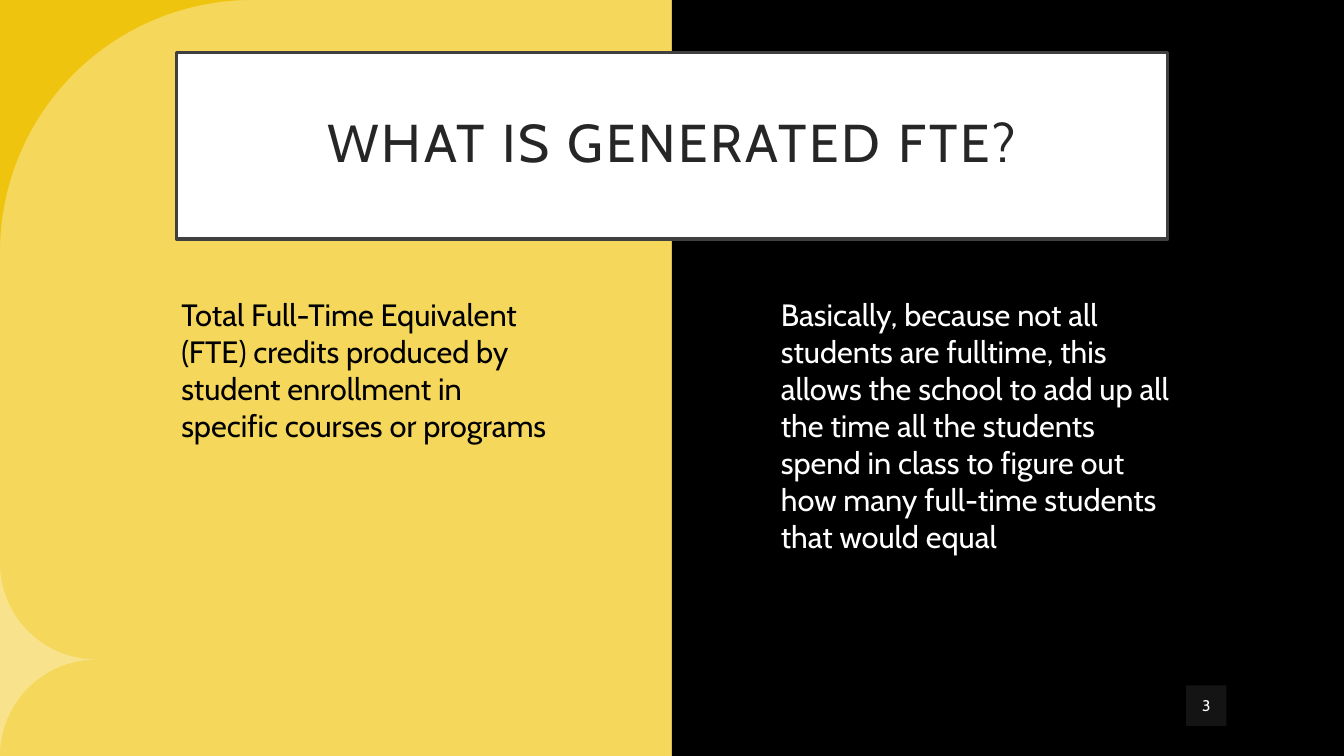
import math
from lxml import etree
from pptx import Presentation
from pptx.dml.color import RGBColor
from pptx.enum import shapes, text
from pptx.oxml import ns
from pptx.util import Cm, Pt

FONT = "Cabin"
WIDTH, HEIGHT = 33.87, 19.05


def paint(fmt, colour, alpha=None):
    """Give a fill a solid colour and, if asked, an opacity in percent."""
    fmt.solid()
    fmt.fore_color.rgb = RGBColor.from_string(colour)
    if alpha is not None:
        tint = fmt._xPr.find(ns.qn("a:solidFill"))[0]
        etree.SubElement(tint, ns.qn("a:alpha")).set("val", str(alpha * 1000))


def place(item, left, top, width, height):
    item.left, item.top = Cm(left), Cm(top)
    item.width, item.height = Cm(width), Cm(height)


def write(frame, words, size, colour, align=None, insets=(0.25, 0.13)):
    """Set one paragraph of text and return its run."""
    frame.word_wrap = True
    frame.margin_left = frame.margin_right = Cm(insets[0])
    frame.margin_top = frame.margin_bottom = Cm(insets[1])
    para = frame.paragraphs[0]
    para.alignment = align
    run = para.add_run()
    run.text = words
    run.font.name, run.font.size = FONT, Pt(size)
    paint(run.font.fill, colour)
    return run


def add_block(slide, box, colour, alpha=None):
    block = slide.shapes.add_shape(
        shapes.MSO_SHAPE.RECTANGLE, *(Cm(v) for v in box))
    block.shadow.inherit = False
    block.line.fill.background()
    paint(block.fill, colour, alpha)
    return block


def arc(cx, cy, radius, start, end, steps=40):
    """Points on a circle, with angles in degrees clockwise from the right."""
    angles = [math.radians(start + (end - start) * i / steps)
              for i in range(steps + 1)]
    return [(cx + radius * math.cos(a), cy + radius * math.sin(a)) for a in angles]


def add_outline(slide, points, colour, alpha=None):
    points = [(Cm(x), Cm(y)) for x, y in points]
    builder = slide.shapes.build_freeform(*points[0])
    builder.add_line_segments(points[1:], close=True)
    outline = builder.convert_to_shape()
    outline.shadow.inherit = False
    outline.line.fill.background()
    paint(outline.fill, colour, alpha)


def add_body(slide, box, words, colour):
    body = slide.shapes.add_textbox(*(Cm(v) for v in box))
    write(body.text_frame, words, 22, colour)
    body.text_frame.auto_size = text.MSO_AUTO_SIZE.SHAPE_TO_FIT_TEXT


def format_title(title, words):
    place(title, 4.45, 1.32, 24.97, 4.7)
    paint(title.fill, "FFFFFF")
    paint(title.line.fill, "404040")
    title.line.width = Pt(2.5)
    run = write(title.text_frame, words, 38, "262626",
                text.PP_ALIGN.CENTER, (0.76, 0.51))
    run.font._element.set("spc", "200")
    title.text_frame.auto_size = text.MSO_AUTO_SIZE.NONE
    title.text_frame.vertical_anchor = text.MSO_ANCHOR.MIDDLE
    title.text_frame.paragraphs[0].line_spacing = 0.9


def add_number(slide, number):
    badge = add_block(slide, (29.89, 17.27, 1.02, 1.02), "1D1D1D", 70)
    write(badge.text_frame, number, 11, "FFFFFF",
          text.PP_ALIGN.CENTER, (0.05, 0.13))
    badge.text_frame.vertical_anchor = text.MSO_ANCHOR.MIDDLE
    badge.text_frame.paragraphs[0].space_after = Pt(6)


def main():
    prs = Presentation()
    prs.slide_width, prs.slide_height = Cm(WIDTH), Cm(HEIGHT)
    slide = prs.slides.add_slide(prs.slide_layouts[5])
    title = slide.shapes.title

    # Background with its rounded corner and side notch
    paint(slide.background.fill, "F5D85B")
    corner, notch = 6.35, 2.43
    add_outline(slide, [(0, 0)] + arc(corner, corner, corner, 270, 180),
                "EEC40E")
    add_outline(slide, arc(notch, HEIGHT - 2 * notch, notch, 180, 90)
                + arc(notch, HEIGHT, notch, 270, 180), "FBEFBD", 50)

    # Dark right half
    add_block(slide, (WIDTH / 2, 0, WIDTH / 2, HEIGHT), "000000")

    # Title, brought in front of the background parts
    format_title(title, "WHAT IS GENERATED FTE?")
    slide.shapes._spTree.append(title._element)

    # Slide number and the two columns
    add_number(slide, "3")
    add_body(slide, (4.32, 7.32, 9.96, 4.01),
             "Total Full-Time Equivalent (FTE) credits produced by student "
             "enrollment in specific courses or programs", "000000")
    add_body(slide, (19.43, 7.32, 10.49, 6.83),
             "Basically, because not all students are fulltime, this allows "
             "the school to add up all the time all the students spend in "
             "class to figure out how many full-time students that would equal",
             "FFFFFF")

    prs.save("out.pptx")


if __name__ == "__main__":
    main()
